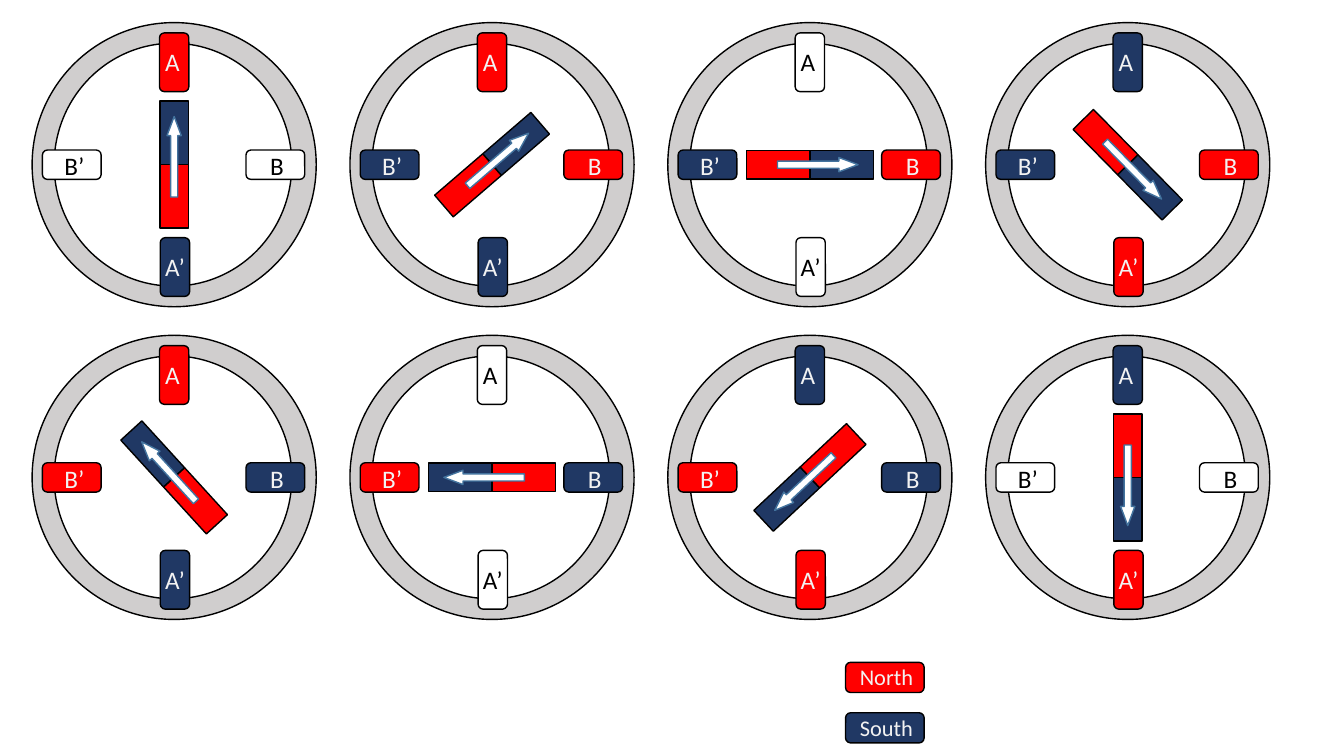
"""Build a slide of eight stepper motor positions with their coil polarities."""
from math import cos, radians, sin

from pptx import Presentation
from pptx.dml.color import RGBColor
from pptx.enum.shapes import MSO_SHAPE as Preset
from pptx.enum.text import MSO_AUTO_SIZE as AutoSize, PP_ALIGN as Align
from pptx.util import Cm, Pt

NORTH = RGBColor(0xFF, 0x00, 0x00)
SOUTH = RGBColor(0x20, 0x38, 0x64)
OFF = RGBColor(0xFF, 0xFF, 0xFF)
STATOR = RGBColor(0xD0, 0xCE, 0xCE)
BLACK = RGBColor(0x00, 0x00, 0x00)
ARROW_EDGE = RGBColor(0x43, 0x73, 0x9E)
LIGHT_TEXT = RGBColor(0xF2, 0xF2, 0xF2)
OPPOSITE = {NORTH: SOUTH, SOUTH: NORTH, OFF: OFF}

prs = Presentation()
prs.slide_width, prs.slide_height = Cm(33.87), Cm(19.05)
slide = prs.slides.add_slide(prs.slide_layouts[6])


def add_part(preset, center_x, center_y, width, height, fill, rotation=0, edge=BLACK):
    part = slide.shapes.add_shape(preset, Cm(center_x - width / 2), Cm(center_y - height / 2),
                                  Cm(width), Cm(height))
    part.rotation = rotation
    part.shadow.inherit = False
    part.fill.solid()
    part.fill.fore_color.rgb = fill
    part.line.color.rgb = edge
    part.line.width = Pt(1)
    return part


def add_label(text, left, top, width, height, size, color, centered=False):
    frame = slide.shapes.add_textbox(Cm(left), Cm(top), Cm(width), Cm(height)).text_frame
    frame.text = text
    frame.word_wrap = not centered
    frame.auto_size = AutoSize.SHAPE_TO_FIT_TEXT
    paragraph = frame.paragraphs[0]
    paragraph.alignment = Align.CENTER if centered else Align.LEFT
    font = paragraph.runs[0].font
    font.name, font.size, font.color.rgb = "Calibri", Pt(size), color


# rotor angle, polarity of coil A, polarity of coil B
motor_rows = [
    [(0, NORTH, OFF), (49.3, NORTH, NORTH), (90, OFF, NORTH), (135.5, SOUTH, NORTH)],
    [(317.6, NORTH, SOUTH), (270, OFF, SOUTH), (226.9, SOUTH, SOUTH), (180, SOUTH, OFF)],
]

for row, motors in enumerate(motor_rows):
    for column, (angle, coil_a, coil_b) in enumerate(motors):
        x, y = 4.39 + 8.01 * column, 4.15 + 7.88 * row
        add_part(Preset.OVAL, x, y, 7.16, 7.16, STATOR)
        add_part(Preset.OVAL, x - 0.03, y, 5.99, 6.12, OFF)

        coils = [
            ("A", coil_a, 0, -2.58, 0, -0.48, -3.1, 1.04),
            ("A’", OPPOSITE[coil_a], 0.02, 2.58, 0, -0.48, 2.06, 1.45),
            ("B", coil_b, 2.55, 0, 270, 2.12, -0.48, 0.94),
            ("B’", OPPOSITE[coil_b], -2.58, 0, 270, -3.06, -0.48, 1.09),
        ]
        for name, polarity, dx, dy, turn, label_dx, label_dy, label_width in coils:
            add_part(Preset.ROUNDED_RECTANGLE, x + dx, y + dy, 0.74, 1.48, polarity, turn)
            add_label(name, x + label_dx, y + label_dy, label_width, 1.02, 18,
                      BLACK if polarity == OFF else LIGHT_TEXT, centered=turn == 270)

        forward_x, forward_y = sin(radians(angle)), -cos(radians(angle))
        for pole, reach in [(SOUTH, 0.8), (NORTH, -0.8)]:
            add_part(Preset.RECTANGLE, x + reach * forward_x, y + reach * forward_y,
                     0.72, 1.6, pole, angle)
        arrow = add_part(Preset.RIGHT_ARROW, x + 0.2 * forward_x, y + 0.2 * forward_y,
                         2.03, 0.36, OFF, (angle - 90) % 360, ARROW_EDGE)
        arrow.adjustments[0], arrow.adjustments[1] = 0.5, 1.34

for name, pole, y in [("North", NORTH, 17.07), ("South", SOUTH, 18.34)]:
    add_part(Preset.ROUNDED_RECTANGLE, 22.3, y, 0.76, 1.98, pole, 270)
    add_label(name, 21.42, y - 0.48, 3.3, 0.94, 16, LIGHT_TEXT)

prs.save("out.pptx")
